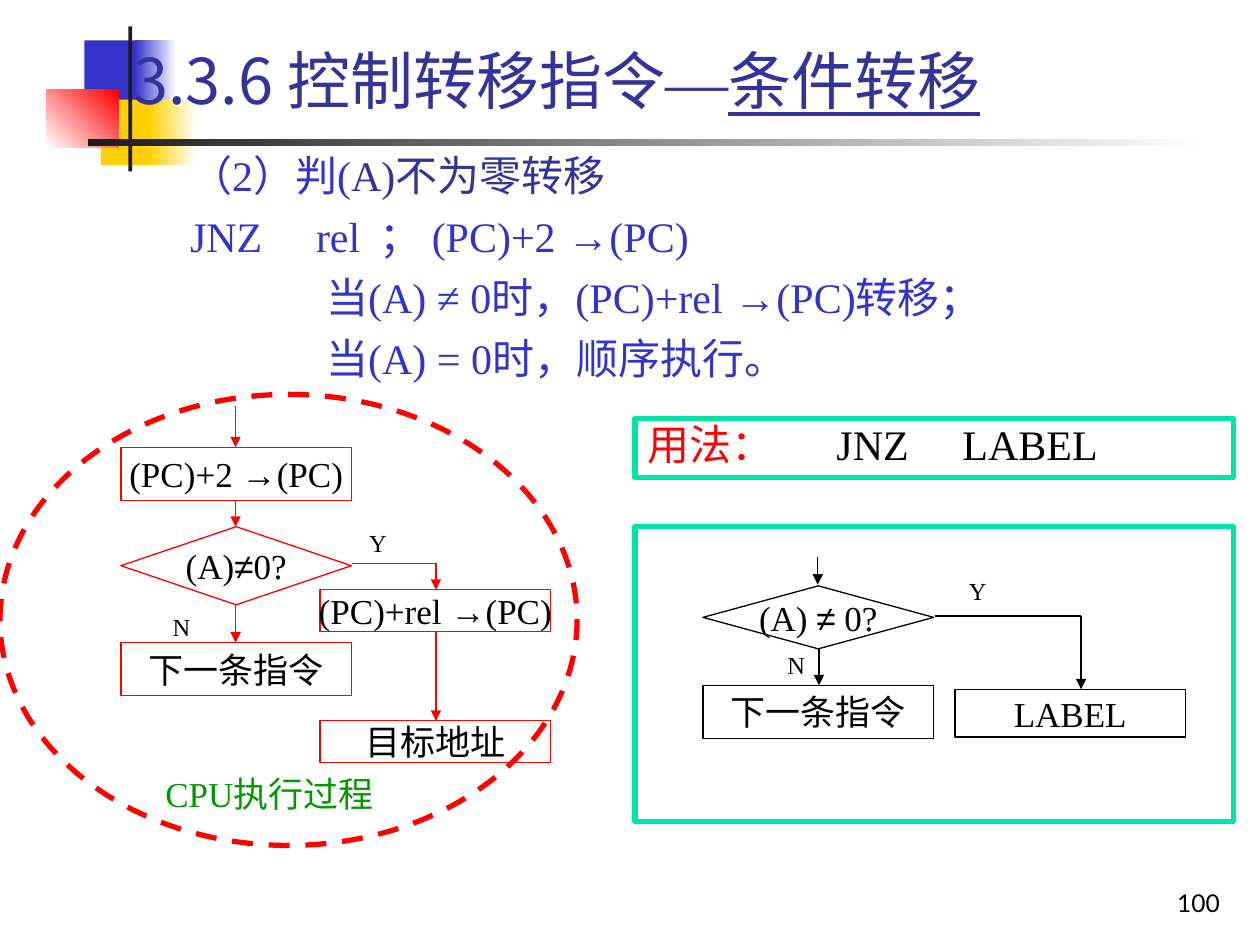
from dataclasses import dataclass

from lxml import etree
from pptx import Presentation
from pptx import util as u
from pptx.dml.color import RGBColor
from pptx.enum import dml, shapes, text
from pptx.oxml.ns import qn

COLUMNS, ROWS = 100, 75
KIND = shapes.MSO_SHAPE
ALIGN = text.PP_ALIGN
ANCHOR = text.MSO_ANCHOR


@dataclass(frozen=True)
class Theme:
    blue: str = "3333CC"
    navy: str = "333399"
    yellow: str = "FFCF01"
    red: str = "FF0000"
    green: str = "009900"
    mint: str = "00E4A8"
    ink: str = "1C1C1C"
    black: str = "000000"
    white: str = "FFFFFF"
    serif: str = "Times New Roman"
    symbol: str = "Arial"
    plain: str = "Lato"
    heading: str = "Noto Sans CJK JP"
    title: int = 36
    body: int = 24
    node: int = 20
    small: int = 14
    thin: float = 0.75
    thick: float = 3


class Board:
    """Draws on one slide; lengths are grid columns and rows."""

    def __init__(self, slide, size, theme):
        self.slide, self.theme = slide, theme
        self.col, self.row = size[0] / COLUMNS, size[1] / ROWS

    def place(self, left, top, width, height):
        return (round(left * self.col), round(top * self.row),
                round(width * self.col), round(height * self.row))

    def shape(self, kind, at, fill=None, line=None, weight=None, dash=None, angle=0):
        item = self.slide.shapes.add_shape(kind, *self.place(*at))
        item.shadow.inherit = False
        if fill is None:
            item.fill.background()
        elif isinstance(fill, tuple):
            item.fill.gradient()
            item.fill.gradient_angle = angle
            for stop, color in zip(item.fill.gradient_stops, fill):
                stop.color.rgb = RGBColor.from_string(color)
        else:
            item.fill.solid()
            item.fill.fore_color.rgb = RGBColor.from_string(fill)
        if line:
            item.line.color.rgb = RGBColor.from_string(line)
            item.line.width = u.Pt(weight or self.theme.thin)
            item.line.dash_style = dash
        else:
            item.line.fill.background()
        return item

    def box(self, at):
        return self.slide.shapes.add_textbox(*self.place(*at))

    def caption(self, item, runs, size, color, align=ALIGN.LEFT, anchor=ANCHOR.TOP, wrap=True):
        frame = item.text_frame
        frame.word_wrap, frame.vertical_anchor = wrap, anchor
        self.fill_paragraph(frame.paragraphs[0], runs, size, color, align)

    def fill_paragraph(self, paragraph, runs, size, color, align=ALIGN.LEFT, indent=0, tabs=()):
        """Each run is a string or (string, font, colour)."""
        paragraph.alignment = align
        self.indent(paragraph, indent, tabs)
        for part in [runs] if isinstance(runs, str) else runs:
            words, font, tint = (part, None, None) if isinstance(part, str) else part
            run = paragraph.add_run()
            run.text = words
            run.font.size = u.Pt(size)
            run.font.name = font or self.theme.serif
            run.font.color.rgb = RGBColor.from_string(tint or color)
            east = etree.SubElement(run.font._element, qn("a:ea"))
            east.set("typeface", font or self.theme.plain)

    def indent(self, paragraph, columns, tabs):
        props = paragraph._p.get_or_add_pPr()
        props.set("marL", str(round(columns * self.col)))
        props.set("indent", "0")
        if tabs:
            stops = etree.SubElement(props, qn("a:tabLst"))
            for tab in tabs:
                etree.SubElement(stops, qn("a:tab"), pos=str(round(tab * self.col)), algn="l")

    def node(self, kind, at, runs, line):
        item = self.shape(kind, at, line=line)
        self.caption(item, runs, self.theme.node, self.theme.black, ALIGN.CENTER, ANCHOR.MIDDLE, False)

    def label(self, at, words, size, color):
        self.caption(self.box(at), words, size, color, ALIGN.CENTER, wrap=False)

    def link(self, start, end, color, arrow=True):
        x, y, x2, y2 = self.place(*start, *end)
        line = self.slide.shapes.add_connector(shapes.MSO_CONNECTOR.STRAIGHT, x, y, x2, y2)
        line.line.color.rgb = RGBColor.from_string(color)
        line.line.width = u.Pt(self.theme.thin)
        if arrow:
            outline = line._element.spPr.find(qn("a:ln"))
            etree.SubElement(outline, qn("a:tailEnd"), type="triangle")
        etree.SubElement(line._element.spPr, qn("a:effectLst"))


def decorate(board, t):
    for at, fill, angle in (
        ((6.7, 3.2, 4.5, 5.2), t.blue, 0),
        ((10.7, 3.2, 3.3, 5.2), (t.blue, t.white), 0),
        ((8, 7.9, 4.3, 5.2), t.yellow, 0),
        ((11.8, 7.9, 3.8, 5.2), (t.yellow, t.white), 0),
        ((3.7, 7.1, 5.7, 4.6), (t.white, t.red), 45),
        ((10.2, 2.1, 0.3, 11.5), t.ink, 0),
        ((7, 11, 88.8, 0.6), (t.ink, t.white), 0),
    ):
        board.shape(KIND.RECTANGLE, at, fill, angle=angle)


def headline(board, t):
    title = board.box((9.6, 2.1, 83.2, 8.4))
    board.caption(title, [("3.3.6 控制转移指令", t.heading, None), "—", ("条件转移", t.heading, None)],
                  t.title, t.navy, anchor=ANCHOR.MIDDLE)
    dash, topic = title.text_frame.paragraphs[0].runs[1:]
    dash.font._element.find(qn("a:ea")).set("typeface", t.serif)
    topic.font.underline = True


def explain(board, t):
    arrow = (" →", t.symbol, None)
    frame = board.box((9.1, 11.4, 84.2, 21)).text_frame
    frame.word_wrap = True
    lines = (
        (["（2）判(", ("A)不为零转移", None, t.navy)], 5, ()),
        (["\tJNZ\trel\t； (PC)+2", arrow, "(PC)"], 0, (15, 26.6, 36.7)),
        (["当(A) ≠ 0时，(PC)+rel", arrow, "(PC)转移；"], 15.8, ()),
        (["当(A) = 0时，顺序执行。"], 15.8, ()),
    )
    for number, (runs, indent, tabs) in enumerate(lines):
        paragraph = frame.add_paragraph() if number else frame.paragraphs[0]
        if number:
            paragraph.space_before = u.Pt(6)
        board.fill_paragraph(paragraph, runs, t.body, t.blue, indent=indent, tabs=tabs)


def usage(board, t):
    panel = board.shape(KIND.RECTANGLE, (50.4, 33.2, 47.5, 4.7), line=t.mint, weight=t.thick)
    frame = panel.text_frame
    frame.word_wrap, frame.vertical_anchor = True, ANCHOR.TOP
    paragraph = frame.paragraphs[0]
    paragraph.line_spacing = 0.9
    board.fill_paragraph(paragraph, ["用法：", ("\tJNZ\tLABEL", None, t.black)],
                         t.body, t.red, tabs=(11.5, 19.8))


def flow(board, t, color, nodes, links, labels):
    for kind, (left, top, height), runs in nodes:
        board.node(kind, (left, top, 18.3, height), runs, color)
    for start, end, arrow in links:
        board.link(start, end, color, arrow)
    for words, left, top in labels:
        board.label((left, top, 3.4, 3.4), words, t.small, t.black)


def main():
    t = Theme()
    deck = Presentation()
    deck.slide_width, deck.slide_height = u.Inches(10), u.Inches(7.5)
    slide = deck.slides.add_slide(deck.slide_layouts[6])
    board = Board(slide, (deck.slide_width, deck.slide_height), t)
    step, test = KIND.FLOWCHART_PROCESS, KIND.DIAMOND
    to_pc, unequal = ("→", t.symbol, None), ("≠", t.symbol, None)

    decorate(board, t)
    board.caption(board.box((77, 68.3, 20.8, 5)), [("100", t.plain, None)],
                  t.small, t.black, ALIGN.RIGHT, ANCHOR.BOTTOM)
    board.shape(KIND.RECTANGLE, (50.4, 41.8, 47.5, 23.4), line=t.mint, weight=t.thick)
    headline(board, t)
    explain(board, t)
    usage(board, t)

    # What the CPU does
    board.shape(KIND.OVAL, (0, 31.3, 45.8, 35.8), line=t.red, weight=t.thick,
                dash=dml.MSO_LINE.DASH)
    flow(board, t, t.red, (
        (step, (9.6, 35.5, 4.2), ["(PC)+2 ", to_pc, "(PC)"]),
        (test, (9.6, 41.8, 6.2), ["(A)", unequal, "0?"]),
        (step, (25.4, 46.8, 3.3), ["(PC)+rel ", to_pc, "(PC)"]),
        (step, (9.6, 51, 4.2), "下一条指令"),
        (step, (25.4, 57.2, 3.3), "目标地址"),
    ), (
        ((18.7, 32.2), (18.7, 35.5), True),
        ((18.7, 39.7), (18.7, 41.8), True),
        ((27.9, 44.7), (34.6, 44.7), False),
        ((34.6, 44.7), (34.6, 46.8), True),
        ((18.7, 48), (18.7, 51), True),
        ((34.6, 50.2), (34.6, 57.2), True),
    ), (("Y", 28.3, 41.4), ("N", 12.7, 48.1)))
    board.label((11.8, 60.8, 19.2, 4.4), "CPU执行过程", t.node, t.green)

    # How a program uses it
    flow(board, t, t.black, (
        (test, (55.8, 46.5, 5), ["(A) ", unequal, " 0?"]),
        (step, (55.8, 54.4, 4.2), "下一条指令"),
        (step, (75.8, 54.7, 3.8), "LABEL"),
    ), (
        ((64.9, 44.2), (64.9, 46.4), True),
        ((74.2, 48.9), (85.8, 48.9), False),
        ((65, 51.5), (65, 54.4), True),
        ((85.8, 48.9), (85.8, 54.7), True),
    ), (("Y", 75.9, 45.2), ("N", 61.5, 51.1)))

    deck.save("out.pptx")


if __name__ == "__main__":
    main()
